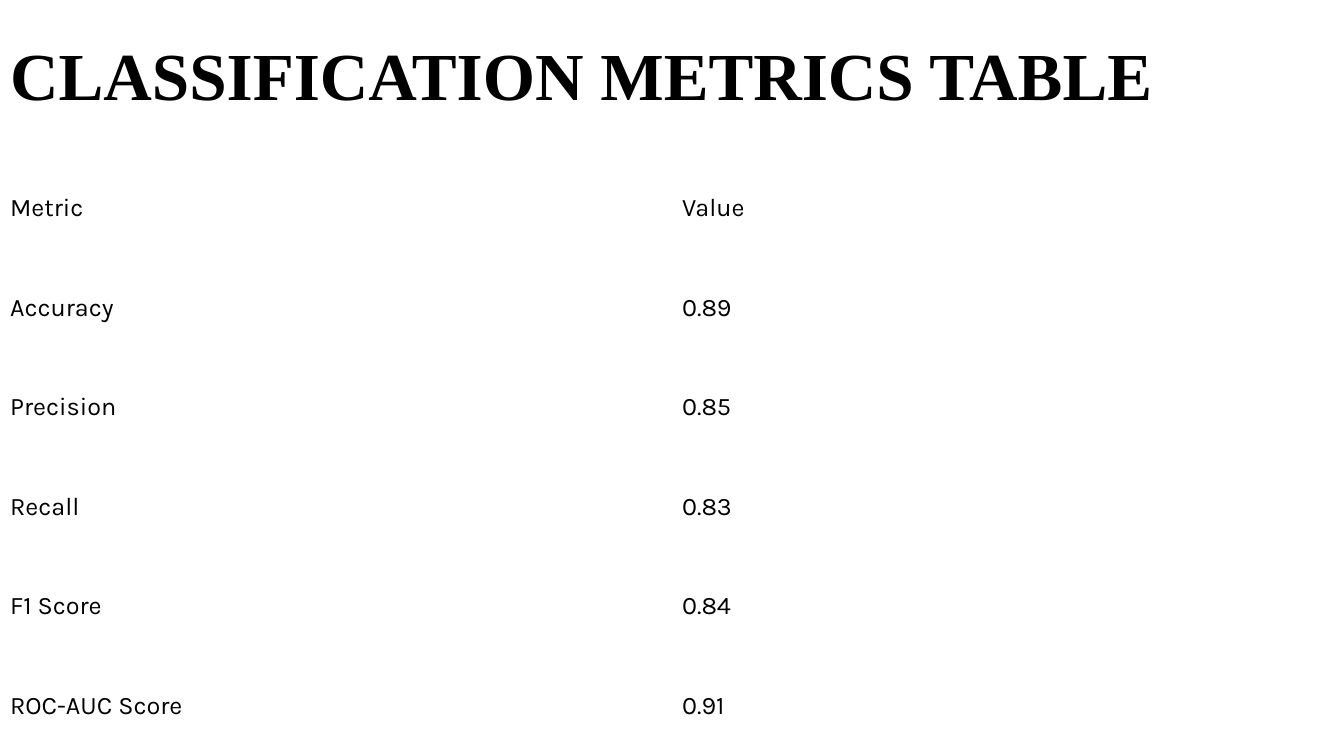
import dataclasses

import pptx
import pptx.dml.color
import pptx.enum.text
import pptx.util

Inches = pptx.util.Inches
MIDDLE = pptx.enum.text.MSO_ANCHOR.MIDDLE
LEFT = pptx.enum.text.PP_ALIGN.LEFT


@dataclasses.dataclass(frozen=True)
class Theme:
    ink: str = "000000"
    paper: str = "FFFFFF"
    head_font: str = "Times New Roman"
    body_font: str = "Karla"
    head_size: int = 48
    body_size: int = 18


class Page:
    def __init__(self, deck, theme):
        self.theme = theme
        self.slide = deck.slides.add_slide(deck.slide_layouts[5])
        fill = self.slide.background.fill
        fill.solid()
        fill.fore_color.rgb = pptx.dml.color.RGBColor.from_string(theme.paper)

    def style(self, para, face, size, bold=False):
        para.alignment = LEFT
        font = para.font
        font.name = face
        font.size = pptx.util.Pt(size)
        font.bold = bold
        font.color.rgb = pptx.dml.color.RGBColor.from_string(self.theme.ink)

    def title(self, text, left, top, width, height):
        shape = self.slide.shapes.title
        shape.left, shape.top = Inches(left), Inches(top)
        shape.width, shape.height = Inches(width), Inches(height)
        frame = shape.text_frame
        frame.text = text
        frame.word_wrap = True
        frame.auto_size = pptx.enum.text.MSO_AUTO_SIZE.NONE
        frame.vertical_anchor = MIDDLE
        para = frame.paragraphs[0]
        para.line_spacing = 0.9
        self.style(para, self.theme.head_font, self.theme.head_size, True)

    def table(self, rows, left, top, width, height):
        grid = self.slide.shapes.add_table(
            len(rows), len(rows[0]),
            Inches(left), Inches(top), Inches(width), Inches(height),
        ).table
        grid.first_row = False
        grid.horz_banding = False
        for i, row in enumerate(rows):
            for j, text in enumerate(row):
                cell = grid.cell(i, j)
                cell.text = text
                cell.fill.background()
                cell.vertical_anchor = MIDDLE
                para = cell.text_frame.paragraphs[0]
                self.style(para, self.theme.body_font, self.theme.body_size)


def main():
    wide, high, split = 13.33, 7.5, 1.57
    deck = pptx.Presentation()
    deck.slide_width, deck.slide_height = Inches(wide), Inches(high)
    page = Page(deck, Theme())
    page.title("CLASSIFICATION METRICS TABLE", 0, 0, wide, split)
    scores = [
        ("Metric", "Value"),
        ("Accuracy", "0.89"),
        ("Precision", "0.85"),
        ("Recall", "0.83"),
        ("F1 Score", "0.84"),
        ("ROC-AUC Score", "0.91"),
    ]
    page.table(scores, 0, split, wide, high - split)
    deck.save("out.pptx")


if __name__ == "__main__":
    main()
